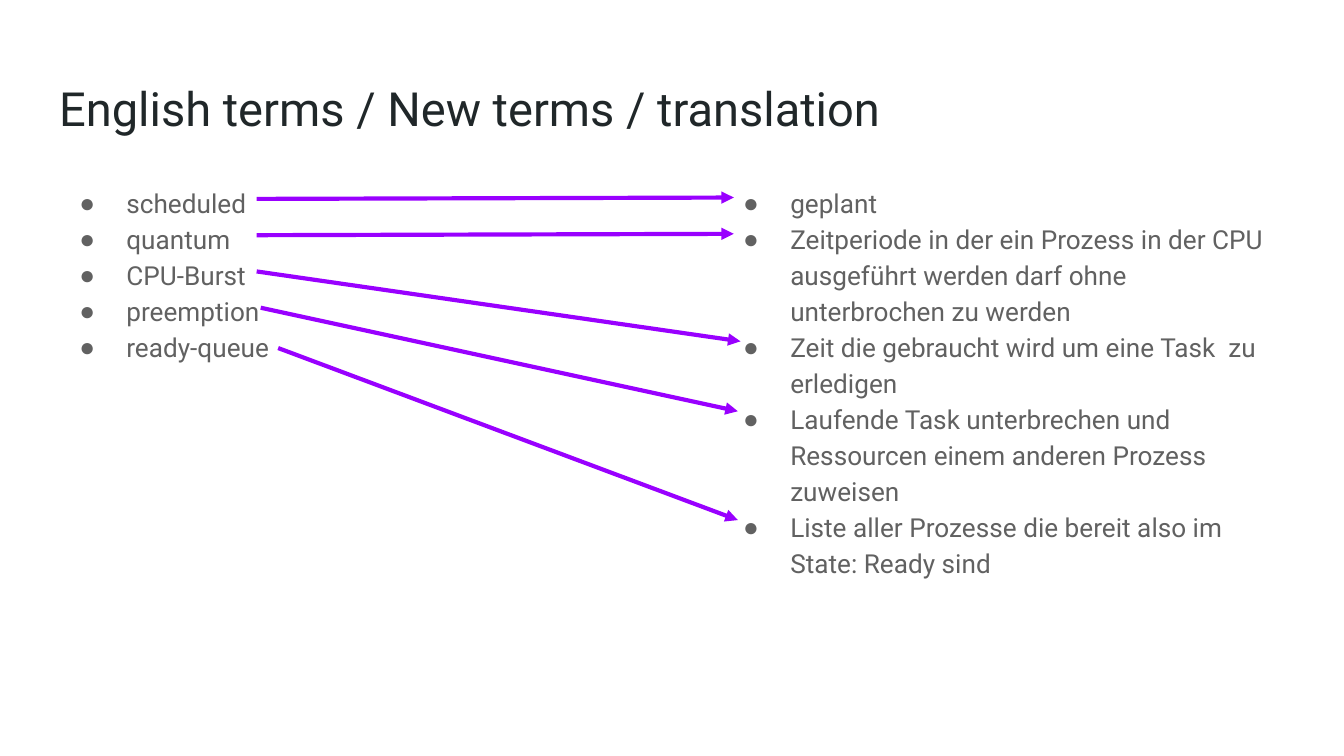
from lxml.etree import SubElement
from pptx import Presentation
from pptx.dml.color import RGBColor
from pptx.enum.shapes import MSO_CONNECTOR as CONN
from pptx.enum.text import MSO_ANCHOR as ANCHOR, MSO_AUTO_SIZE as AUTO, PP_ALIGN as ALIGN
from pptx.oxml.ns import qn
from pptx.util import Inches, Pt

INK = RGBColor(0x20, 0x27, 0x29)
GREY = RGBColor(0x61, 0x61, 0x61)
PURPLE = RGBColor(0x99, 0x00, 0xFF)

FONT = "Roboto"
SLIDE_W = Inches(10)
SLIDE_H = SLIDE_W * 9 // 16
LEFT_X, RIGHT_X, BODY_Y = 0.34, 5.28, 1.26
COLUMN_W, COLUMN_H = 4.37, 3.74

TERMS = [
    ("scheduled", "geplant"),
    ("quantum", "Zeitperiode in der ein Prozess in der CPU ausgeführt werden darf "
                "ohne unterbrochen zu werden"),
    ("CPU-Burst", "Zeit die gebraucht wird um eine Task  zu erledigen"),
    ("preemption", "Laufende Task unterbrechen und Ressourcen einem anderen Prozess zuweisen"),
    ("ready-queue", "Liste aller Prozesse die bereit also im State: Ready sind"),
]

ARROWS = [
    ((1.57, 0.22), (5.12, 0.21)),
    ((1.57, 0.49), (5.12, 0.48)),
    ((1.57, 0.76), (5.17, 1.28)),
    ((1.60, 1.03), (5.15, 1.80)),
    ((1.73, 1.33), (5.15, 2.61)),
]


def set_attrs(obj, values):
    for name, value in values.items():
        setattr(obj, name, value)


def fill_placeholder(sp, box, lines, size, color):
    for name, value in zip(("left", "top", "width", "height"), box):
        setattr(sp, name, Inches(value))
    tf = sp.text_frame
    margins = dict.fromkeys(
        ("margin_left", "margin_top", "margin_right", "margin_bottom"), Inches(0.1))
    set_attrs(tf, {"word_wrap": True, "auto_size": AUTO.NONE,
                   "vertical_anchor": ANCHOR.TOP, **margins})
    tf.text = "\n".join(lines)
    for p in tf.paragraphs:
        set_attrs(p, {"alignment": ALIGN.LEFT, "space_before": Pt(0), "space_after": Pt(0)})
        r = p.runs[0]
        set_attrs(r.font, {"name": FONT, "size": Pt(size)})
        r.font.color.rgb = color
    return tf


def add_title(sp, box, text):
    fill_placeholder(sp, box, [text], 25.2, INK)


def add_list(sp, box, items):
    tf = fill_placeholder(sp, box, items, 14, GREY)
    for p in tf.paragraphs:
        p.line_spacing = 1.15
        pPr = p._p.get_or_add_pPr()
        pPr.set("marL", str(Inches(0.5)))
        pPr.set("indent", str(Inches(-0.35)))
        SubElement(SubElement(pPr, qn("a:buClr")), qn("a:srgbClr"), val=str(GREY))
        SubElement(pPr, qn("a:buChar"), char="●")


def add_arrows(s, left, top, arrows):
    for (x1, y1), (x2, y2) in arrows:
        c = s.shapes.add_connector(
            CONN.STRAIGHT, Inches(left + x1), Inches(top + y1),
            Inches(left + x2), Inches(top + y2))
        c.line.color.rgb = PURPLE
        c.line.width = Pt(2.25)
        SubElement(c.line._get_or_add_ln(), qn("a:tailEnd"), type="triangle")
        SubElement(c._element.spPr, qn("a:effectLst"))


def main():
    prs = Presentation()
    set_attrs(prs, {"slide_width": SLIDE_W, "slide_height": SLIDE_H})
    s = prs.slides.add_slide(prs.slide_layouts[3])
    title, english, german = s.placeholders
    add_title(title, (LEFT_X, 0.49, 9.32, 0.63), "English terms / New terms / translation")
    for sp, x, items in zip((english, german), (LEFT_X, RIGHT_X), zip(*TERMS)):
        add_list(sp, (x, BODY_Y, COLUMN_W, COLUMN_H), items)
    add_arrows(s, LEFT_X, BODY_Y, ARROWS)
    prs.save("out.pptx")


if __name__ == "__main__":
    main()
